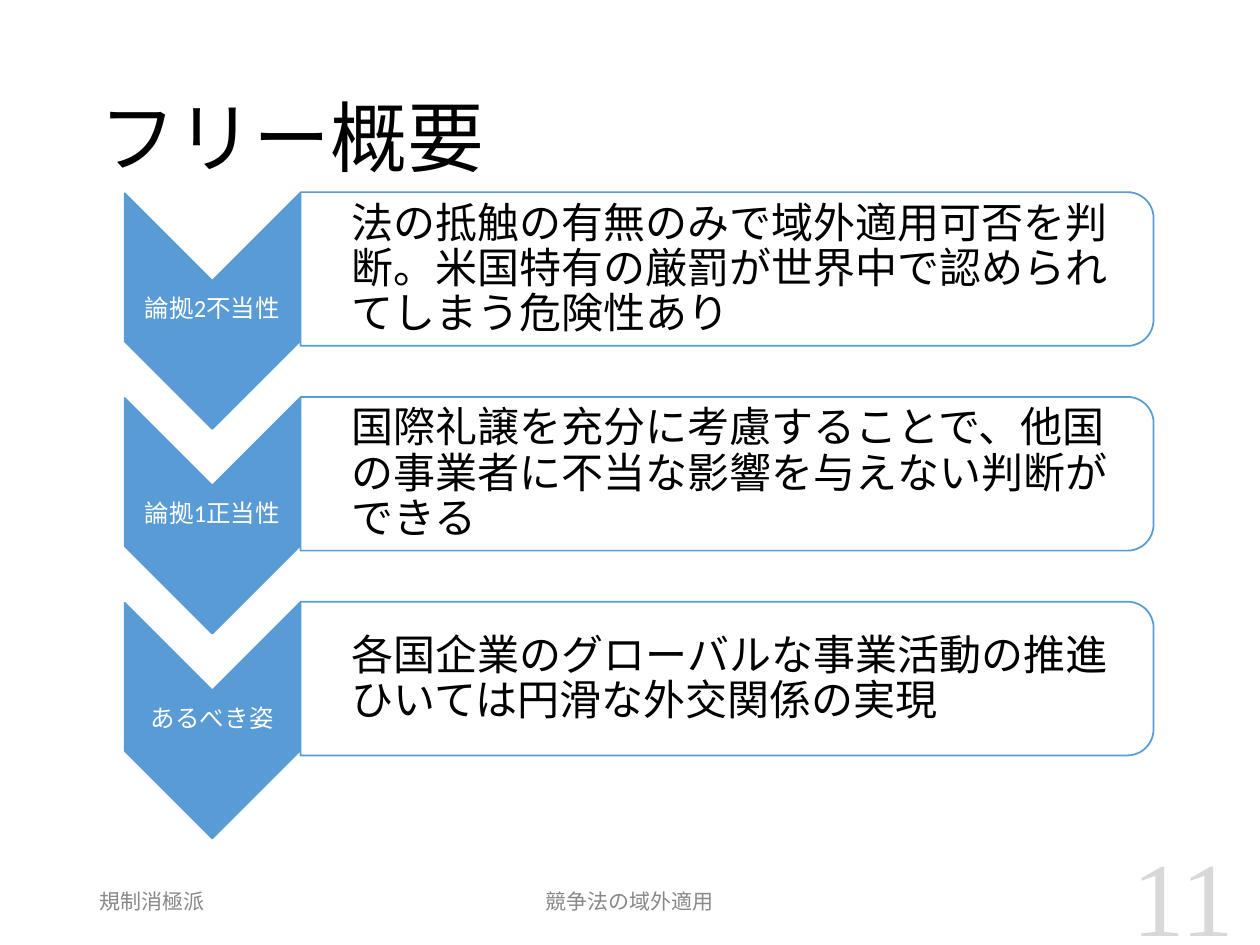
from dataclasses import dataclass

import pptx
import pptx.dml.color
import pptx.enum.shapes
import pptx.enum.text
import pptx.oxml
import pptx.oxml.ns
import pptx.util

RGBColor = pptx.dml.color.RGBColor
Align = pptx.enum.text.PP_ALIGN
Preset = pptx.enum.shapes.MSO_SHAPE

BLUE = RGBColor(0x59, 0x9B, 0xD5)
WHITE = RGBColor(0xFF, 0xFF, 0xFF)
BLACK = RGBColor(0, 0, 0)
GRAY = RGBColor(0x88, 0x88, 0x88)
PALE_GRAY = RGBColor(0xD8, 0xD8, 0xD8)

WIDTH = pptx.util.Inches(10)
HEIGHT = pptx.util.Inches(7.5)
ROW_STEP = 21.67


@dataclass(frozen=True)
class Box:
    """A rectangle in percent of the slide's width and height."""
    left: float
    top: float
    width: float
    height: float

    def in_row(self, row: int) -> "Box":
        """Return the box moved down to the given row."""
        return Box(self.left, self.top + row * ROW_STEP, self.width, self.height)

    def lengths(self) -> tuple[int, int, int, int]:
        """Return left, top, width and height as slide lengths."""
        return (int(WIDTH * self.left / 100), int(HEIGHT * self.top / 100),
                int(WIDTH * self.width / 100), int(HEIGHT * self.height / 100))


@dataclass(frozen=True)
class Style:
    """The look of one text."""
    size: float
    color: RGBColor
    align: Align = Align.LEFT
    spacing: float = 1.0
    insets: tuple[float, float, float, float] = (0.1, 0.05, 0.1, 0.05)
    font: str = "Calibri"


@dataclass(frozen=True)
class Step:
    """One arrow label with its explanation."""
    label: str
    body: str


@dataclass(frozen=True)
class Caption:
    """A text standing on its own."""
    text: str
    box: Box
    style: Style


CHEVRON = Box(9.9, 20.45, 13.9, 24.93)
LABEL = Box(9.9, 29.07, 13.9, 7.47)
PANEL = Box(23.85, 20.33, 67.7, 16.27)
BODY = Box(23.8, 21.2, 67.1, 14.67)
LABEL_STYLE = Style(14, WHITE, Align.CENTER, 0.9, (0.01, 0.01, 0.01, 0.01))
BODY_STYLE = Style(24, BLACK, spacing=0.9, insets=(0.41, 0.04, 0.04, 0.04))

STEPS = [
    Step("論拠2不当性",
         "法の抵触の有無のみで域外適用可否を判断。米国特有の厳罰が世界中で認められてしまう危険性あり"),
    Step("論拠1正当性",
         "国際礼譲を充分に考慮することで、他国の事業者に不当な影響を与えない判断ができる"),
    Step("あるべき姿",
         "各国企業のグローバルな事業活動の推進\nひいては円滑な外交関係の実現"),
]
CAPTIONS = [
    Caption("規制消極派", Box(6.9, 92.67, 22.5, 5.33), Style(12, GRAY)),
    Caption("競争法の域外適用", Box(33.1, 92.67, 33.7, 5.33),
            Style(12, GRAY, Align.CENTER)),
    Caption("11", Box(76.4, 92, 22.5, 5.33),
            Style(60, PALE_GRAY, Align.RIGHT, font="Times New Roman")),
    Caption("フリー概要", Box(6.9, 5.33, 86.2, 19.33), Style(44, BLACK, spacing=0.9)),
]


def add_text(slide, text: str, box: Box, style: Style) -> None:
    """Add a wrapped, vertically centred text box."""
    frame = slide.shapes.add_textbox(*box.lengths()).text_frame
    frame.word_wrap = True
    frame.vertical_anchor = pptx.enum.text.MSO_ANCHOR.MIDDLE
    (frame.margin_left, frame.margin_top,
     frame.margin_right, frame.margin_bottom) = map(pptx.util.Inches, style.insets)
    frame.text = text
    for paragraph in frame.paragraphs:
        paragraph.alignment = style.align
        paragraph.line_spacing = style.spacing
        for run in paragraph.runs:
            run.font.name = style.font
            run.font.size = pptx.util.Pt(style.size)
            run.font.color.rgb = style.color


def add_turned_shape(slide, preset: Preset, box: Box, fill: RGBColor,
                     adjustments: tuple[float, ...], opacity: int = 100) -> None:
    """Add a preset turned a quarter clockwise so that it covers the box."""
    left, top, width, height = box.lengths()
    shift = (width - height) // 2
    shape = slide.shapes.add_shape(preset, left + shift, top - shift, height, width)
    shape.rotation = 90
    shape.shadow.inherit = False
    for index, value in enumerate(adjustments):
        shape.adjustments[index] = value
    shape.fill.solid()
    shape.fill.fore_color.rgb = fill
    shape.line.color.rgb = BLUE
    shape.line.width = pptx.util.Pt(1)
    if opacity < 100:
        color = shape.fill._xPr.find(".//" + pptx.oxml.ns.qn("a:srgbClr"))
        alpha = pptx.oxml.parse_xml(
            f'<a:alpha {pptx.oxml.ns.nsdecls("a")} val="{opacity * 1000}"/>')
        color.append(alpha)


def add_step(slide, step: Step, row: int) -> None:
    """Add one arrow and its panel."""
    add_turned_shape(slide, Preset.CHEVRON, CHEVRON.in_row(row), BLUE, (0.5,))
    add_text(slide, step.label, LABEL.in_row(row), LABEL_STYLE)
    add_turned_shape(slide, Preset.ROUND_2_SAME_RECTANGLE, PANEL.in_row(row),
                     WHITE, (0.17, 0), 90)
    add_text(slide, step.body, BODY.in_row(row), BODY_STYLE)


def main() -> None:
    """Build the slide and save it."""
    presentation = pptx.Presentation()
    presentation.slide_width = WIDTH
    presentation.slide_height = HEIGHT
    slide = presentation.slides.add_slide(presentation.slide_layouts[6])
    for row, step in enumerate(STEPS):
        add_step(slide, step, row)
    for caption in CAPTIONS:
        add_text(slide, caption.text, caption.box, caption.style)
    presentation.save("out.pptx")


main()
